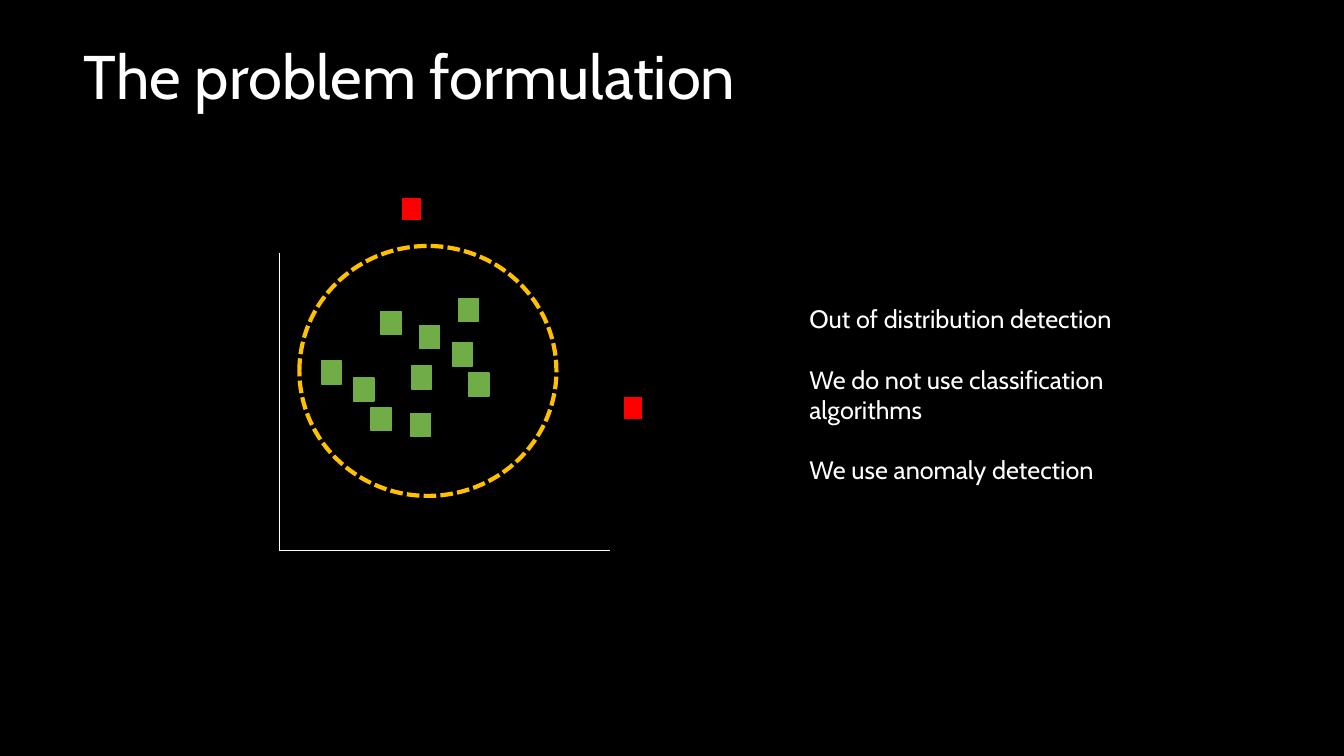
from lxml import etree
from pptx import Presentation, util as u
from pptx.dml.color import RGBColor
from pptx.enum import dml, shapes, text
from pptx.oxml import ns

COLUMNS, ROWS = 80, 45
BLACK, WHITE = "000000", "FFFFFF"
GREEN, RED, AMBER = "70AD47", "FF0000", "FFC000"


def paint(color_format, value):
    color_format.rgb = RGBColor.from_string(value)


class Deck:
    font = "Cabin"

    def __init__(self):
        self.presentation = Presentation()
        self.presentation.slide_width = u.Inches(13.33)
        self.presentation.slide_height = u.Inches(7.5)

    def new_slide(self):
        layout = self.presentation.slide_layouts[1]
        self.slide = self.presentation.slides.add_slide(layout)
        background = self.slide.background.fill
        background.solid()
        paint(background.fore_color, BLACK)

    def place(self, column, row):
        return (round(column * self.presentation.slide_width / COLUMNS),
                round(row * self.presentation.slide_height / ROWS))

    def fill_placeholder(self, holder, box, lines, size, anchor, spacing, gap=0):
        holder.left, holder.top = self.place(*box[:2])
        holder.width, holder.height = self.place(*box[2:])
        frame = holder.text_frame
        frame.text = "\n".join(lines)
        frame.word_wrap = True
        frame.auto_size = text.MSO_AUTO_SIZE.NONE
        frame.vertical_anchor = anchor
        for index, paragraph in enumerate(frame.paragraphs):
            properties = paragraph._p.get_or_add_pPr()
            properties.set("marL", "0")
            properties.set("indent", "0")
            etree.SubElement(properties, ns.qn("a:buNone"))
            paragraph.alignment = text.PP_ALIGN.LEFT
            paragraph.line_spacing = spacing
            paragraph.space_before = u.Pt(gap if index else 0)
            for run in paragraph.runs:
                run.font.name = self.font
                run.font.size = u.Pt(size)
                paint(run.font.color, WHITE)

    def title(self, box, wording):
        self.fill_placeholder(self.slide.shapes.title, box, [wording], 44,
                              text.MSO_ANCHOR.MIDDLE, 0.9)

    def statements(self, box, lines):
        self.fill_placeholder(self.slide.placeholders[1], box, lines, 18,
                              text.MSO_ANCHOR.TOP, 1.0, gap=21.6)

    def axis(self, start, end):
        line = self.slide.shapes.add_connector(
            shapes.MSO_CONNECTOR.STRAIGHT, *self.place(*start), *self.place(*end))
        paint(line.line.color, WHITE)
        line.line.width = u.Pt(0.5)
        etree.SubElement(line._element.spPr, ns.qn("a:effectLst"))

    def outline(self, kind, box, color, width):
        shape = self.slide.shapes.add_shape(
            kind, *self.place(*box[:2]), *self.place(*box[2:]))
        shape.shadow.inherit = False
        paint(shape.line.color, color)
        shape.line.width = u.Pt(width)
        return shape

    def sample(self, position, color, edge):
        square = self.outline(shapes.MSO_SHAPE.RECTANGLE,
                              (*position, 1.2, 1.38), edge, 1)
        square.fill.solid()
        paint(square.fill.fore_color, color)

    def boundary(self, box):
        circle = self.outline(shapes.MSO_SHAPE.OVAL, box, AMBER, 3)
        circle.fill.background()
        circle.line.dash_style = dml.MSO_LINE.SQUARE_DOT


def main():
    deck = Deck()
    deck.new_slide()
    deck.title((4.38, 0.36, 69, 8.7), "The problem formulation")

    origin = (16.62, 32.76)
    deck.axis((16.62, 15.06), origin)
    deck.axis((36.3, 32.76), origin)

    inliers = [(22.68, 18.54), (24.48, 21.78), (24.96, 19.38), (24.42, 24.6),
               (27.9, 22.2), (27.3, 17.76), (26.94, 20.4), (19.14, 21.48),
               (22.08, 24.24), (21.06, 22.5)]
    outliers = [(37.08, 23.58), (23.88, 11.76)]
    for positions, color, edge in ((inliers, GREEN, GREEN), (outliers, RED, BLACK)):
        for position in positions:
            deck.sample(position, color, edge)
    deck.boundary((17.82, 14.64, 15.3, 14.88))

    deck.statements((47.58, 17.76, 25.2, 9.72), [
        "Out of distribution detection",
        "We do not use classification algorithms",
        "We use anomaly detection",
    ])
    deck.presentation.save("out.pptx")


if __name__ == "__main__":
    main()
